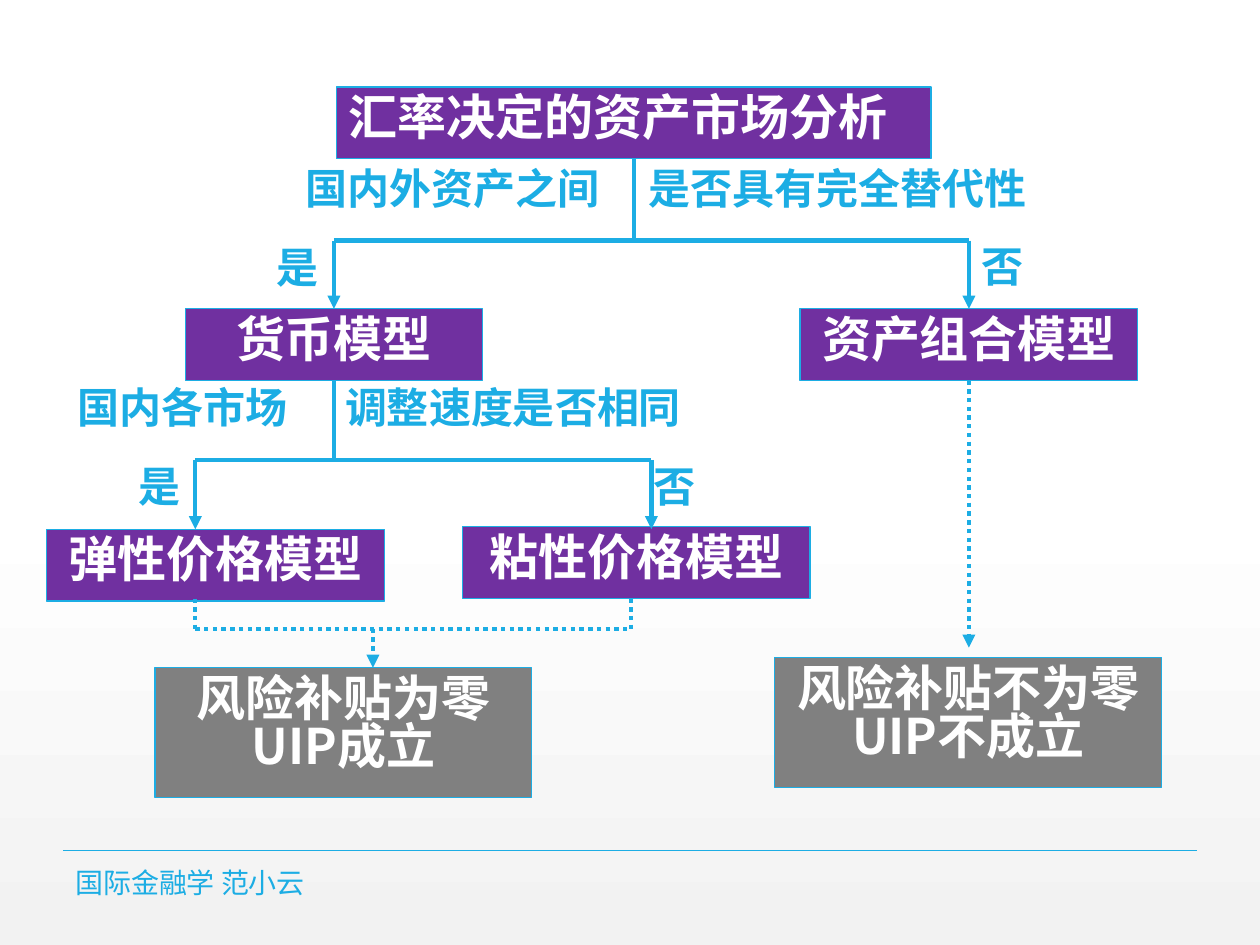
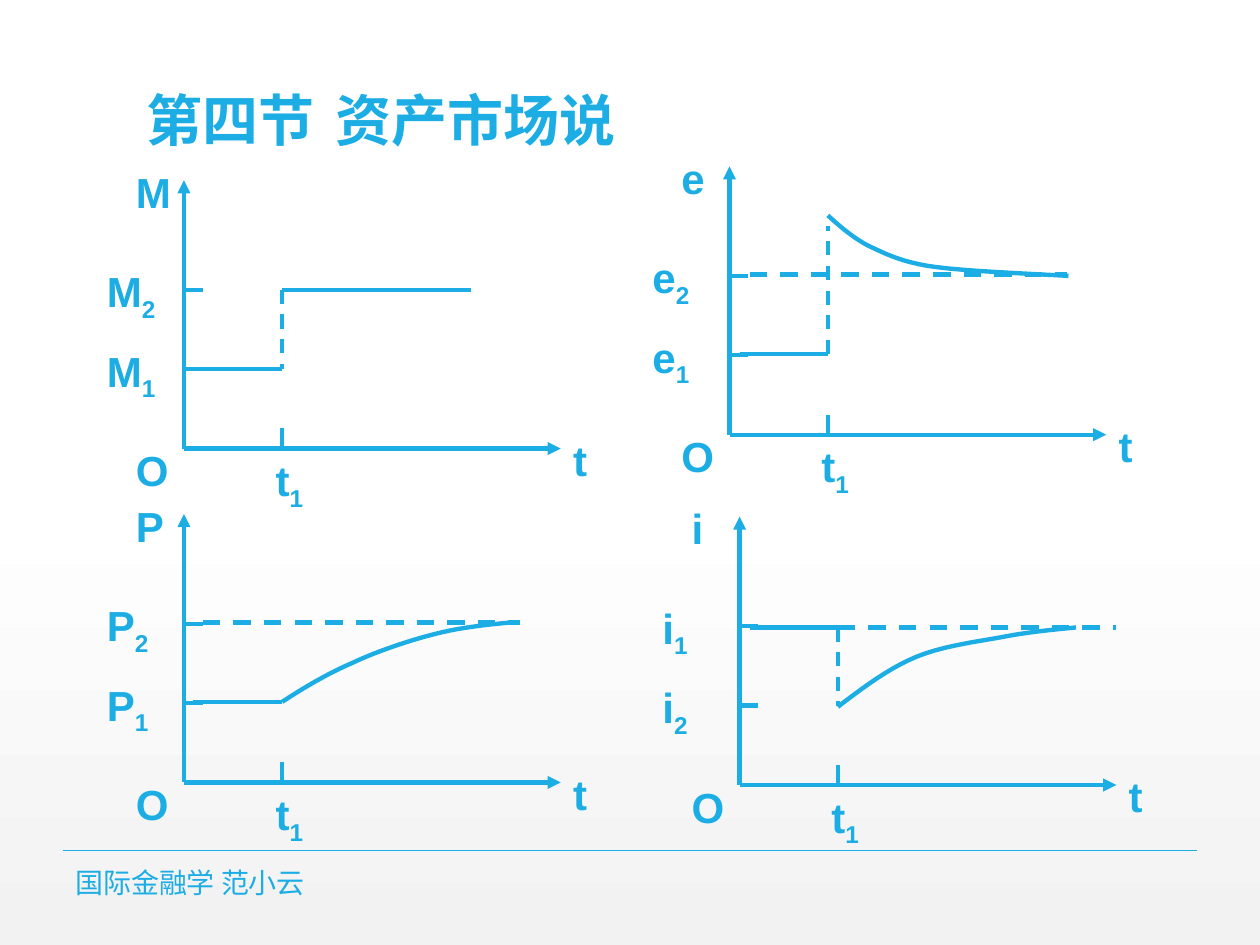
import pptx
import pptx.dml.color
import pptx.enum.dml
import pptx.enum.shapes
import pptx.enum.text
import pptx.oxml
import pptx.oxml.ns
import pptx.util
from pptx.util import Inches

BLUE = pptx.dml.color.RGBColor(0x1C, 0xAD, 0xE4)
PURPLE = pptx.dml.color.RGBColor(0x70, 0x30, 0xA0)
GRAY = pptx.dml.color.RGBColor(0x80, 0x80, 0x80)
WHITE = pptx.dml.color.RGBColor(0xFF, 0xFF, 0xFF)
PALE = pptx.dml.color.RGBColor(0xF2, 0xF2, 0xF2)
LATIN_FONT = "Arial"
CHINESE_FONT = "Noto Sans CJK SC"
FOOTER = "国际金融学 范小云"
DASH = pptx.enum.dml.MSO_LINE.DASH
DOT = pptx.enum.dml.MSO_LINE.ROUND_DOT
LEFT = pptx.enum.text.PP_ALIGN.LEFT
CENTER = pptx.enum.text.PP_ALIGN.CENTER
TOP = pptx.enum.text.MSO_ANCHOR.TOP
MIDDLE = pptx.enum.text.MSO_ANCHOR.MIDDLE
BOTTOM = pptx.enum.text.MSO_ANCHOR.BOTTOM


def set_background(master):
    fill = master.background.fill
    fill.gradient()
    fill.gradient_angle = 270
    for stop, position, color in zip(fill.gradient_stops, (0.53, 1), (WHITE, PALE)):
        stop.position = position
        stop.color.rgb = color


def add_run(paragraph, text, size, color, font, bold, subscript=False):
    run = paragraph.add_run()
    run.text = text
    run.font.size = pptx.util.Pt(size)
    run.font.bold = bold
    run.font.color.rgb = color
    run.font.name = font
    properties = run._r.get_or_add_rPr()
    east_asian = pptx.oxml.parse_xml(
        f'<a:ea {pptx.oxml.ns.nsdecls("a")} typeface="{CHINESE_FONT}"/>')
    properties.find(pptx.oxml.ns.qn("a:latin")).addnext(east_asian)
    if subscript:
        properties.set("baseline", "-25000")


def write(shape, text, size=24, color=BLUE, font=CHINESE_FONT, bold=True,
          subscript="", align=LEFT, anchor=TOP, spacing=None):
    frame = shape.text_frame
    frame.word_wrap = True
    frame.auto_size = pptx.enum.text.MSO_AUTO_SIZE.NONE
    frame.vertical_anchor = anchor
    paragraph = frame.paragraphs[0]
    paragraph.alignment = align
    paragraph.line_spacing = spacing
    add_run(paragraph, text, size, color, font, bold)
    if subscript:
        add_run(paragraph, subscript, size, color, font, bold, subscript=True)


def add_text(slide, left, top, width, height, text, **style):
    shape = slide.shapes.add_textbox(
        Inches(left), Inches(top), Inches(width), Inches(height))
    write(shape, text, **style)
    return shape


def tighten(shape):
    shape.text_frame.margin_top = Inches(0.08)
    shape.text_frame.margin_bottom = Inches(0.02)


def add_label(slide, left, top, width, text):
    tighten(add_text(slide, left, top, width, 0.5, text, spacing=0.82))


def add_box(slide, left, top, width, height, text, fill=PURPLE, align=CENTER):
    shape = slide.shapes.add_shape(
        pptx.enum.shapes.MSO_SHAPE.RECTANGLE,
        Inches(left), Inches(top), Inches(width), Inches(height))
    shape.shadow.inherit = False
    shape.fill.solid()
    shape.fill.fore_color.rgb = fill
    shape.line.color.rgb = BLUE
    shape.line.width = pptx.util.Pt(0.75)
    write(shape, text, size=28, color=WHITE, align=align, spacing=0.82)
    tighten(shape)
    return shape


def add_line(slide, start, end, width=2.5, dash=None, arrow=False,
             from_box=None, to_box=None):
    connector = slide.shapes.add_connector(
        pptx.enum.shapes.MSO_CONNECTOR.STRAIGHT,
        *(Inches(value) for value in (*start, *end)))
    connector.line.color.rgb = BLUE
    connector.line.width = pptx.util.Pt(width)
    if dash:
        connector.line.dash_style = dash
    namespace = pptx.oxml.ns.nsdecls("a")
    if arrow:
        connector.line._get_or_add_ln().append(
            pptx.oxml.parse_xml(f'<a:tailEnd {namespace} type="triangle"/>'))
    connector._element.spPr.append(
        pptx.oxml.parse_xml(f"<a:effectLst {namespace}/>"))
    if from_box:
        connector.begin_connect(from_box, 2)
    if to_box:
        connector.end_connect(to_box, 0)


def bezier_point(points, t):
    weights = ((1 - t) ** 3, 3 * t * (1 - t) ** 2, 3 * t ** 2 * (1 - t), t ** 3)
    return tuple(
        Inches(sum(weight * point[axis] for weight, point in zip(weights, points)))
        for axis in (0, 1))


def add_curve(slide, points, steps=10):
    vertices = [
        bezier_point(points[first:first + 4], step / steps)
        for first in range(0, len(points) - 1, 3)
        for step in range(1, steps + 1)]
    builder = slide.shapes.build_freeform(*(Inches(value) for value in points[0]))
    builder.add_line_segments(vertices, close=False)
    shape = builder.convert_to_shape()
    shape.shadow.inherit = False
    shape.fill.background()
    shape.line.color.rgb = BLUE
    shape.line.width = pptx.util.Pt(2.5)


def add_footer(slide):
    add_line(slide, (0.5, 6.75), (9.5, 6.75), width=1)
    add_text(slide, 0.5, 6.88, 5.03, 0.24, FOOTER, size=16, bold=False, anchor=MIDDLE)


def add_axes(slide, x, y, name, low, high):
    add_line(slide, (x, y), (x, y - 2.13), arrow=True)
    add_line(slide, (x, y), (x + 2.99, y), arrow=True)
    add_line(slide, (x + 0.78, y - 0.16), (x + 0.78, y))
    for text, subscript, dx, dy in (
            ("O", "", -0.48, -0.08), ("t", "", 2.99, -0.16),
            (name, "", -0.48, -2.29), ("t", "1", 0.63, 0),
            (name, low, -0.71, -0.87), (name, high, -0.71, -1.5)):
        add_text(slide, x + dx, y + dy, 0.63 if dx == -0.71 else 0.47, 0.5,
                 text, font=LATIN_FONT, subscript=subscript)
    for rise in (0.63, 1.26):
        add_line(slide, (x, y - rise), (x + 0.15, y - rise))


def build_model_tree(presentation):
    slide = presentation.slides.add_slide(presentation.slide_layouts[6])
    add_footer(slide)

    root = add_box(slide, 2.67, 0.69, 4.72, 0.57, "汇率决定的资产市场分析", align=LEFT)
    monetary = add_box(slide, 1.47, 2.45, 2.36, 0.57, "货币模型")
    portfolio = add_box(slide, 6.35, 2.45, 2.68, 0.57, "资产组合模型")
    add_box(slide, 0.37, 4.2, 2.68, 0.57, "弹性价格模型")
    add_box(slide, 3.67, 4.18, 2.76, 0.57, "粘性价格模型")
    add_box(slide, 1.23, 5.3, 2.99, 1.03, "风险补贴为零UIP成立", fill=GRAY)
    add_box(slide, 6.15, 5.22, 3.07, 1.03, "风险补贴不为零UIP不成立", fill=GRAY)

    add_line(slide, (5.03, 1.26), (5.03, 1.91), from_box=root)
    add_line(slide, (2.65, 1.91), (7.69, 1.91))
    add_line(slide, (2.65, 1.91), (2.65, 2.45), arrow=True, to_box=monetary)
    add_line(slide, (7.69, 1.91), (7.69, 2.45), arrow=True, to_box=portfolio)
    add_line(slide, (2.65, 3.02), (2.65, 3.65), from_box=monetary)
    add_line(slide, (1.55, 3.65), (5.17, 3.65))
    for x in (1.55, 5.17):
        add_line(slide, (x, 3.65), (x, 4.2), arrow=True)
    for x in (1.55, 5.01):
        add_line(slide, (x, 4.75), (x, 4.99), dash=DOT)
    add_line(slide, (1.55, 4.99), (5.01, 4.99), dash=DOT)
    add_line(slide, (2.96, 4.99), (2.96, 5.3), dash=DOT, arrow=True)
    add_line(slide, (7.69, 3.02), (7.69, 5.14), dash=DOT, arrow=True, from_box=portfolio)

    for left, top, width, text in (
            (2.33, 1.28, 2.6, "国内外资产之间"),
            (5.05, 1.28, 3.44, "是否具有完全替代性"),
            (0.52, 3.02, 2.1, "国内各市场"),
            (2.64, 3.02, 3.06, "调整速度是否相同"),
            (2.1, 1.91, 0.63, "是"), (7.69, 1.9, 0.63, "否"),
            (1, 3.65, 0.63, "是"), (5.09, 3.65, 0.63, "否")):
        add_label(slide, left, top, width, text)


def build_adjustment_paths(presentation):
    slide = presentation.slides.add_slide(presentation.slide_layouts[5])
    title = slide.shapes.title
    title.left, title.top = Inches(1.06), Inches(0.02)
    title.width, title.height = Inches(7.88), Inches(1.25)
    write(title, "第四节\t资产市场说", size=32, font=LATIN_FONT, anchor=BOTTOM, spacing=0.9)
    add_footer(slide)

    for x, y, name, low, high in (
            (1.46, 3.56, "M", "1", "2"), (5.79, 3.45, "e", "1", "2"),
            (1.46, 6.21, "P", "1", "2"), (5.87, 6.23, "i", "2", "1")):
        add_axes(slide, x, y, name, low, high)

    for start, end in (
            ((1.53, 2.93), (2.24, 2.93)), ((2.24, 2.3), (3.74, 2.3)),
            ((5.87, 2.81), (6.57, 2.81)), ((1.53, 5.57), (2.24, 5.57)),
            ((5.95, 4.98), (6.65, 4.98))):
        add_line(slide, start, end)
    for start, end in (
            ((5.95, 2.18), (8.47, 2.18)), ((1.61, 4.94), (4.13, 4.94)),
            ((6.65, 4.98), (8.86, 4.98))):
        add_line(slide, start, end, dash=DASH)
    for start, end in (
            ((2.24, 2.3), (2.24, 2.93)), ((6.57, 2.81), (6.57, 1.79)),
            ((6.65, 4.98), (6.65, 5.6))):
        add_line(slide, start, end, width=2, dash=DASH)

    exchange_rate = (
        (6.57, 1.71), (6.67, 1.8), (6.76, 1.88), (6.89, 1.95),
        (7.02, 2.01), (7.13, 2.07), (7.36, 2.11),
        (7.6, 2.15), (8.12, 2.17), (8.48, 2.19))
    price_level = (
        (2.24, 5.57), (2.41, 5.46), (2.59, 5.35), (2.8, 5.26),
        (3.01, 5.16), (3.29, 5.07), (3.5, 5.02),
        (3.71, 4.97), (3.96, 4.95), (4.06, 4.94))
    interest_rate = (
        (6.65, 5.61), (6.86, 5.45), (7.06, 5.3), (7.28, 5.21),
        (7.51, 5.12), (7.78, 5.09), (7.99, 5.05),
        (8.2, 5.01), (8.45, 4.99), (8.54, 4.98))
    for points in (exchange_rate, price_level, interest_rate):
        add_curve(slide, points)


def main():
    presentation = pptx.Presentation()
    presentation.slide_width = Inches(10)
    presentation.slide_height = Inches(7.5)
    set_background(presentation.slide_master)
    build_model_tree(presentation)
    build_adjustment_paths(presentation)
    presentation.save("out.pptx")


if __name__ == "__main__":
    main()
